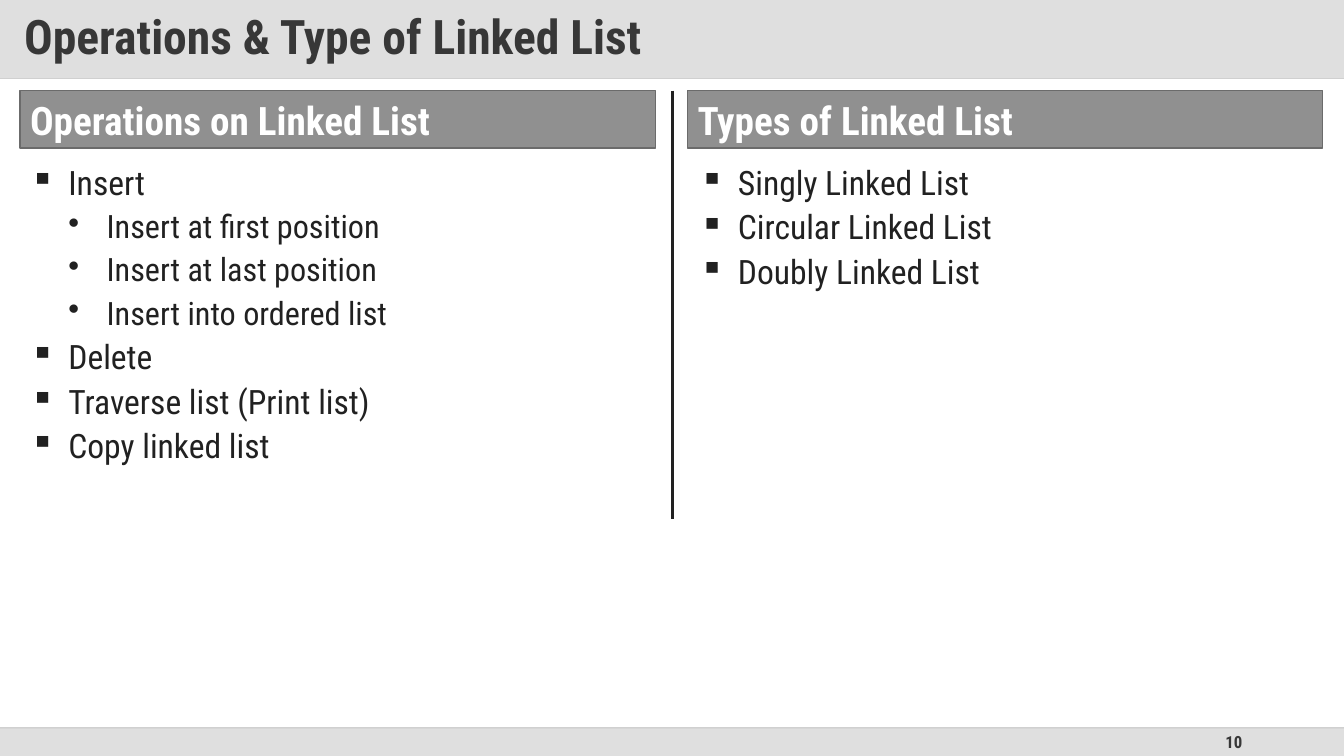
from dataclasses import dataclass

from lxml.etree import SubElement
from pptx import Presentation
from pptx.dml.color import RGBColor
from pptx.enum.shapes import MSO_CONNECTOR, MSO_SHAPE
from pptx.enum.text import MSO_ANCHOR, PP_ALIGN
from pptx.oxml.ns import qn
from pptx.util import Inches, Pt

FONT = "Roboto Condensed"
COLORS = {
    "band": "C0C0C0",
    "footer": "DFDFDF",
    "title": "373737",
    "title_rule": "D9D9D9",
    "footer_rule": "BFBFBF",
    "heading": "909090",
    "heading_edge": "6B6B6B",
    "heading_text": "FFFFFF",
    "body": "212121",
}
BULLETS = ("▪", "•")
BODY_SIZES = (24, 23)
INDENT = 0.38
WIDTH, HEIGHT = 13.33, 7.5
TITLE_HEIGHT, FOOTER_TOP = 0.78, 7.22
HEADING_TOP, LIST_TOP = 0.9, 1.6


@dataclass
class Item:
    text: str
    level: int = 0


@dataclass
class Column:
    heading: str
    heading_left: float
    list_box: tuple[float, float, float, float]
    items: list[Item]


@dataclass
class Rule:
    start: tuple[float, float]
    end: tuple[float, float]
    color: str
    weight: float = 1
    opacity: int = 100


COLUMNS = [
    Column("Operations on Linked List", 0.2, (0.2, LIST_TOP, 4.5, 3.25), [
        Item("Insert"),
        Item("Insert at first position", 1),
        Item("Insert at last position", 1),
        Item("Insert into ordered list", 1),
        Item("Delete"),
        Item("Traverse list (Print list)"),
        Item("Copy linked list"),
    ]),
    Column("Types of Linked List", 6.82, (6.84, LIST_TOP, 3.75, 1.58), [
        Item("Singly Linked List"),
        Item("Circular Linked List"),
        Item("Doubly Linked List"),
    ]),
]
RULES = [
    Rule((0, TITLE_HEIGHT), (WIDTH, TITLE_HEIGHT), "title_rule"),
    Rule((0, FOOTER_TOP), (WIDTH, FOOTER_TOP), "footer_rule", opacity=70),
]
DIVIDER = Rule((6.67, HEADING_TOP), (6.67, 5.15), "body", weight=1.5)


def rgb(name: str) -> RGBColor:
    return RGBColor.from_string(COLORS[name])


def set_opacity(properties, percent: int) -> None:
    if percent < 100:
        color = next(properties.iter(qn("a:srgbClr")))
        SubElement(color, qn("a:alpha"), val=str(percent * 1000))


def write(paragraph, text: str, *, size: float, color: str, bold: bool = False,
          align=PP_ALIGN.LEFT, line_spacing: float = 1.0) -> None:
    paragraph.alignment = align
    paragraph.line_spacing = line_spacing
    run = paragraph.add_run()
    run.text = text
    run.font.name = FONT
    run.font.size = Pt(size)
    run.font.bold = bold
    run.font.color.rgb = rgb(color)


def add_bullet(paragraph, level: int) -> None:
    paragraph.level = level
    properties = paragraph._p.get_or_add_pPr()
    properties.set("marL", str(Inches(INDENT * (level + 1))))
    properties.set("indent", str(-Inches(INDENT)))
    SubElement(properties, qn("a:buChar"), char=BULLETS[level])


def draw_block(slide, box: tuple[float, float, float, float], fill: str,
               kind=MSO_SHAPE.RECTANGLE, edge: str | None = None, opacity: int = 100):
    block = slide.shapes.add_shape(kind, *map(Inches, box))
    block.shadow.inherit = False
    block.fill.solid()
    block.fill.fore_color.rgb = rgb(fill)
    set_opacity(block._element.spPr, opacity)
    if edge:
        block.line.color.rgb = rgb(edge)
        block.line.width = Pt(1)
    else:
        block.line.fill.background()
    block.text_frame.word_wrap = True
    block.text_frame.vertical_anchor = MSO_ANCHOR.MIDDLE
    return block


def draw_rule(slide, rule: Rule) -> None:
    line = slide.shapes.add_connector(
        MSO_CONNECTOR.STRAIGHT, *map(Inches, rule.start + rule.end))
    line.line.color.rgb = rgb(rule.color)
    line.line.width = Pt(rule.weight)
    set_opacity(line._element.spPr, rule.opacity)
    SubElement(line._element.spPr, qn("a:effectLst"))


def draw_title(slide) -> None:
    band = draw_block(slide, (0, 0, WIDTH, TITLE_HEIGHT), "band", opacity=50)
    frame = band.text_frame
    frame.margin_left = frame.margin_right = Inches(0.24)
    frame.margin_top = frame.margin_bottom = Inches(0.12)
    write(frame.paragraphs[0], "Operations & Type of Linked List",
          size=34, color="title", bold=True, line_spacing=0.9)


def draw_footer(slide) -> None:
    height = HEIGHT - FOOTER_TOP
    footer = draw_block(slide, (0, FOOTER_TOP, WIDTH, height), "footer",
                        kind=MSO_SHAPE.ROUNDED_RECTANGLE)
    footer.adjustments[0] = 0
    page_number = slide.shapes.add_textbox(
        *map(Inches, (9.42, FOOTER_TOP, 3, height))).text_frame
    page_number.word_wrap = True
    page_number.vertical_anchor = MSO_ANCHOR.MIDDLE
    write(page_number.paragraphs[0], "10", size=12, color="title", bold=True,
          align=PP_ALIGN.RIGHT)


def draw_column(slide, column: Column) -> None:
    heading = draw_block(slide, (column.heading_left, HEADING_TOP, 6.3, 0.57),
                         "heading", edge="heading_edge")
    write(heading.text_frame.paragraphs[0], column.heading,
          size=28, color="heading_text", bold=True)
    frame = slide.shapes.add_textbox(*map(Inches, column.list_box)).text_frame
    frame.word_wrap = True
    for index, item in enumerate(column.items):
        paragraph = frame.add_paragraph() if index else frame.paragraphs[0]
        add_bullet(paragraph, item.level)
        paragraph.space_before = Pt(6 if index else 0)
        write(paragraph, item.text, size=BODY_SIZES[item.level], color="body",
              align=PP_ALIGN.JUSTIFY, line_spacing=0.9)


def main() -> None:
    deck = Presentation()
    deck.slide_width, deck.slide_height = Inches(WIDTH), Inches(HEIGHT)
    slide = deck.slides.add_slide(deck.slide_layouts[6])
    draw_footer(slide)
    for rule in RULES:
        draw_rule(slide, rule)
    draw_title(slide)
    for column in COLUMNS:
        draw_column(slide, column)
    draw_rule(slide, DIVIDER)
    deck.save("out.pptx")


if __name__ == "__main__":
    main()
